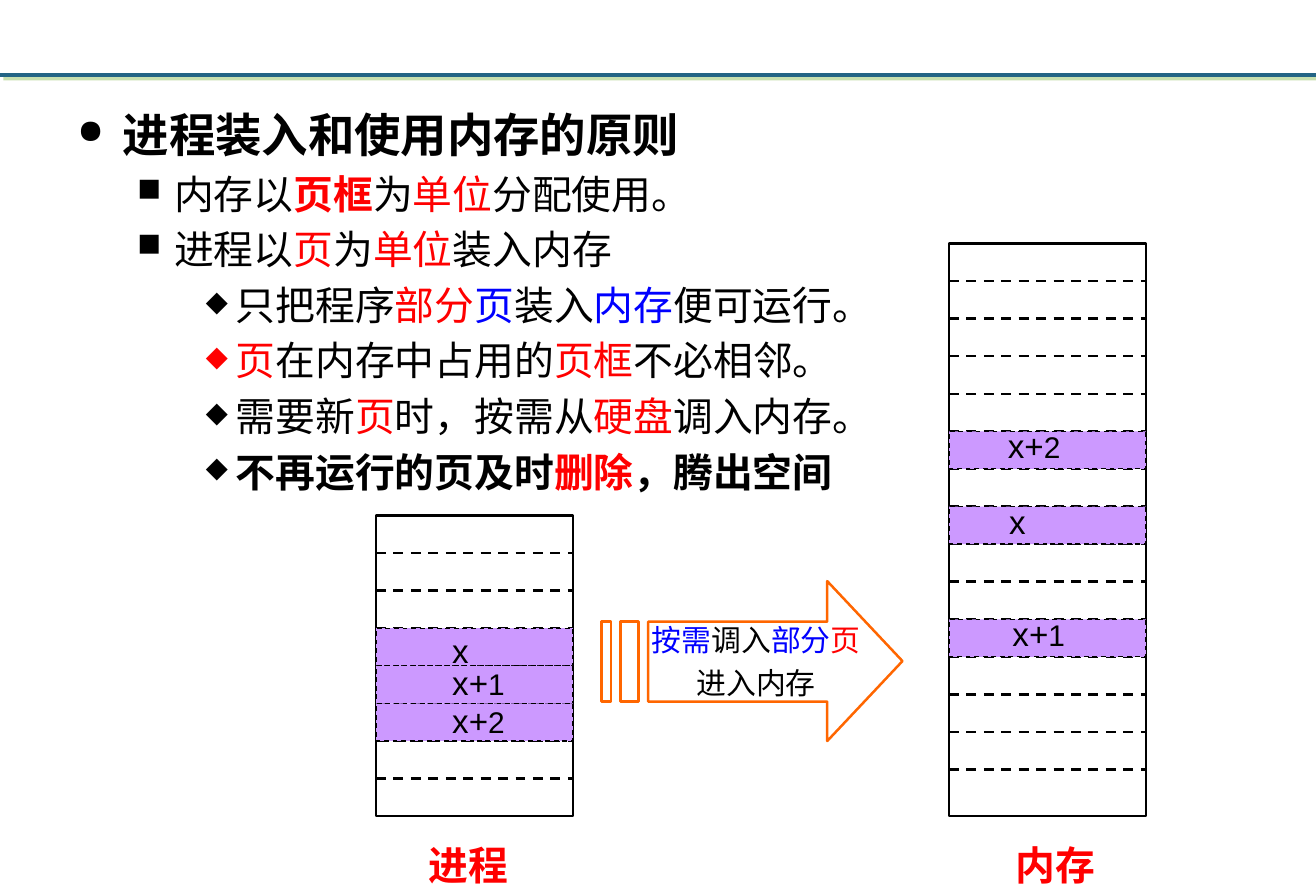
import pptx
import pptx.dml.color
import pptx.enum.dml
import pptx.enum.shapes
import pptx.enum.text
import pptx.oxml
import pptx.oxml.ns
import pptx.util

Pt = pptx.util.Pt
DASH = pptx.enum.dml.MSO_LINE.DASH
MID = pptx.enum.text.PP_ALIGN.CENTER
RED, BLUE, BLACK = "FF0000", "0000FF", "000000"
LILAC, ORANGE, TEAL = "CC99FF", "FF6600", "236485"
PAGE, ROW, WIDE = 793.75, 22.68, 118.8
GLOW = (
    '<a:outerShdw dist="35560" dir="2700000" algn="ctr" rotWithShape="0">'
    '<a:srgbClr val="90C060"><a:alpha val="50000"/></a:srgbClr></a:outerShdw>'
)


def hue(code):
    return pptx.dml.color.RGBColor.from_string(code)


def xml(tag, inner="", attrs=""):
    space = pptx.oxml.ns.nsdecls("a")
    return pptx.oxml.parse_xml(f"<a:{tag} {space} {attrs}>{inner}</a:{tag}>")


def write(para, runs, size=24, face="Arial", color=BLACK, bold=False, gap=0, align=None):
    para.space_before = Pt(gap)
    para.alignment = align
    for words, *look in runs:
        style = {"size": size, "color": color, "bold": bold}
        for extra in look:
            style.update(extra)
        run = para.add_run()
        run.text = words
        run.font.name = face
        run.font.size = Pt(style["size"])
        run.font.bold = style["bold"]
        run.font.color.rgb = hue(style["color"])


class Sheet:
    """Draws styled elements on one slide, with lengths in points."""

    levels = [("●", 72, 27.36, 27.36), ("■", 82, 58.32, 22.32), ("◆", 72, 95.5, 18)]

    def __init__(self, slide):
        self.slide = slide
        self.shapes = slide.shapes

    def paint(self, shape, line, width, fill=None, dash=None):
        shape.shadow.inherit = False
        if fill:
            shape.fill.solid()
            shape.fill.fore_color.rgb = hue(fill)
        else:
            shape.fill.background()
        shape.line.color.rgb = hue(line)
        shape.line.width = Pt(width)
        shape.line.dash_style = dash
        return shape

    def rect(self, x, y, w, h, **look):
        kind = pptx.enum.shapes.MSO_SHAPE.RECTANGLE
        return self.paint(self.shapes.add_shape(kind, Pt(x), Pt(y), Pt(w), Pt(h)), **look)

    def rule(self, x, y, w, color=BLACK, width=1.5, dash=None, glow=""):
        kind = pptx.enum.shapes.MSO_CONNECTOR.STRAIGHT
        line = self.shapes.add_connector(kind, Pt(x), Pt(y), Pt(x + w), Pt(y))
        line.line.color.rgb = hue(color)
        line.line.width = Pt(width)
        line.line.dash_style = dash
        line._element.spPr.append(xml("effectLst", glow))
        return line

    def box(self, x, y, w, h):
        box = self.shapes.add_textbox(Pt(x), Pt(y), Pt(w), Pt(h))
        box.text_frame.word_wrap = True
        return box.text_frame

    def label(self, x, y, w, h, runs, **form):
        write(self.box(x, y, w, h).paragraphs[0], runs, **form)

    def points(self, x, y, w, h, items):
        frame = self.box(x, y, w, h)
        for i, (level, runs, form) in enumerate(items):
            para = frame.add_paragraph() if i else frame.paragraphs[0]
            mark, share, left, hang = self.levels[level]
            props = para._p.get_or_add_pPr()
            props.set("marL", str(Pt(left)))
            props.set("indent", str(-Pt(hang)))
            props.append(xml("buSzPct", attrs=f'val="{share * 1000}"'))
            props.append(xml("buChar", attrs=f'char="{mark}"'))
            para.level = level
            write(para, runs, gap=4.7 if i else 0, **form)

    def stack(self, x, y, rows, h, used):
        frame = self.rect(x, y, WIDE, h, line=BLACK, width=1.5)
        for i in range(1, rows):
            line = self.rule(x, y + i * ROW, WIDE, dash=DASH)
            if i * ROW * 2 == h:
                line.begin_connect(frame, 1)
                line.end_connect(frame, 3)
        for i in used:
            self.rect(x, y + i * ROW, WIDE, ROW, line=BLACK, width=0.75, fill=LILAC, dash=DASH)

    def arrow(self, paths, lines):
        (x, y), *rest = paths[0]
        pen = self.shapes.build_freeform(Pt(x), Pt(y), 1.0)
        pen.add_line_segments([(Pt(a), Pt(b)) for a, b in rest])
        for (x, y), *rest in paths[1:]:
            pen.move_to(Pt(x), Pt(y))
            pen.add_line_segments([(Pt(a), Pt(b)) for a, b in rest])
        shape = self.paint(pen.convert_to_shape(), ORANGE, 1.5)
        frame = shape.text_frame
        frame.word_wrap = False
        frame.margin_left = Pt(12)
        frame.vertical_anchor = pptx.enum.text.MSO_ANCHOR.MIDDLE
        for i, runs in enumerate(lines):
            para = frame.add_paragraph() if i else frame.paragraphs[0]
            write(para, runs, size=18, face="Times New Roman", gap=3.8 * i, align=MID)


def main():
    deck = pptx.Presentation()
    deck.slide_width, deck.slide_height = Pt(PAGE), Pt(540)
    sheet = Sheet(deck.slides.add_slide(deck.slide_layouts[6]))
    red, blue, bold = {"color": RED}, {"color": BLUE}, {"bold": True}

    sheet.rule(0, 45.36, PAGE, color=TEAL, width=2.25, glow=GLOW)
    sheet.points(39.6, 60.48, 714.24, 421.92, [
        (0, [("进程装入和使用内存的原则",)], {"size": 28, "bold": True}),
        (1, [("内存以",), ("页框", red, bold), ("为",), ("单位", red), ("分配使用。",)], {}),
        (1, [("进程以",), ("页", red), ("为",), ("单位", red), ("装入内存",)], {}),
        (2, [("只把程序",), ("部分", red), ("页", blue), ("装入",), ("内存", blue),
             ("便可运行。",)], {}),
        (2, [("页", red), ("在内存中占用的",), ("页框", red), ("不必相邻。",)], {}),
        (2, [("需要新",), ("页", red), ("时，按需从",), ("硬盘", red), ("调入内存。",)], {}),
        (2, [("不再运行的页及时",), ("删除", red), ("，腾出空间",)], bold),
    ])

    sheet.stack(226.8, 311.04, 8, 8 * ROW, [3, 4, 5])
    sheet.stack(572.4, 146.88, 15, 345.6, [5, 7, 10])

    top, low = 375.12, 423.36
    head = [(498.96, 350.64), (498.96, top), (390.96, top), (390.96, low),
            (498.96, low), (498.96, 447.12), (544.32, 398.88), (498.96, 350.64)]
    bars = [[(a, top), (a, low), (b, low), (b, top), (a, top)]
            for a, b in [(374.4, 385.2), (362.88, 368.64)]]
    sheet.arrow([head, *bars], [
        [("按需", blue), ("调入",), ("部分", blue), ("页", red)],
        [("进入内存",)],
    ])

    for x, w, name in [(251.28, 66.24, "进程"), (605.52, 69.12, "内存")]:
        sheet.label(x, 503.5, w, 36, [(name,)], face="Times New Roman", color=RED, bold=True)
    pages = [(265.68, 376.8, ""), (265.68, 396.4, "1"), (265.68, 418.8, "2"),
             (601.6, 299.2, ""), (603.6, 366.8, "1"), (600.8, 253.2, "2")]
    for x, y, step in pages:
        runs = [("x+",), (step, {"size": 18})] if step else [("x",)]
        sheet.label(x, y, 48.24 if step else 28.08, 30.96, runs, size=20)

    deck.save("out.pptx")


if __name__ == "__main__":
    main()
